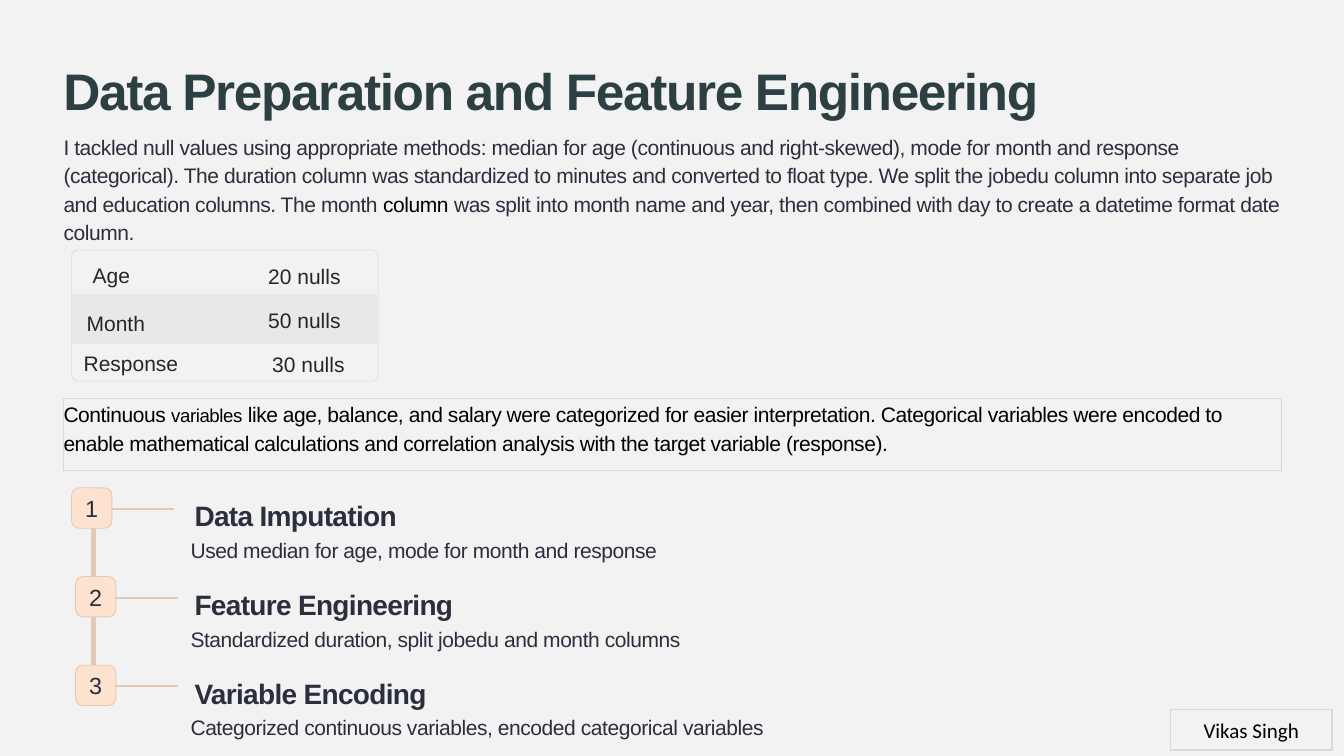
from dataclasses import dataclass

from pptx import Presentation
from pptx import util as u
from pptx.dml.color import RGBColor
from pptx.enum import shapes, text
from pptx.oxml.xmlchemy import OxmlElement

PX = 9144
NO_GRID = "{2D5ABB26-0587-4C30-8999-92F81FD0307C}"


@dataclass(frozen=True)
class Theme:
    paper: str = "F2F2F2"
    title: str = "2C3F42"
    ink: str = "2B2E3C"
    cell: str = "272525"
    black: str = "000000"
    border: str = "D9D9D9"
    frame: str = "DFDFDF"
    band: str = "E8E8E8"
    tile: str = "FCE2CF"
    line: str = "E2C8B5"
    title_size: float = 36.7
    heading_size: float = 20
    number_size: float = 16.7
    body_size: float = 15
    small_size: float = 13.3


class SlideBuilder:
    """Draws styled elements on one slide, with lengths in px."""

    def __init__(self, slide, theme):
        self.slide = slide
        self.theme = theme
        fill = slide.background.fill
        fill.solid()
        fill.fore_color.rgb = RGBColor.from_string(theme.paper)

    def add_spans(self, frame, spans, color, size, spacing=0, leading=None,
                  align=text.PP_ALIGN.LEFT, bold=False, font="Arial"):
        para = frame.paragraphs[0]
        para.alignment = align
        if leading:
            para.line_spacing = u.Pt(leading)
        for words, changes in spans:
            span = para.add_run()
            span.text = words
            values = {"name": font, "size": size, "bold": bold, "color": color, **changes}
            span.font.color.rgb = RGBColor.from_string(values.pop("color"))
            values["size"] = u.Pt(values["size"])
            for name, value in values.items():
                setattr(span.font, name, value)
            if spacing:
                span.font._element.set("spc", str(round(spacing * 100)))

    def fit(self, frame, anchor):
        values = {"margin_left": 0, "margin_right": 0, "margin_top": 0,
                  "margin_bottom": 0, "word_wrap": True, "vertical_anchor": anchor}
        for name, value in values.items():
            setattr(frame, name, value)

    def label(self, area, spans, **style):
        box = self.slide.shapes.add_textbox(*(n * PX for n in area))
        self.fit(box.text_frame, text.MSO_ANCHOR.TOP)
        self.add_spans(box.text_frame, spans, **style)

    def panel(self, area, fill, line, width, radius=None, spans=(),
              anchor=text.MSO_ANCHOR.MIDDLE, **style):
        kind = shapes.MSO_SHAPE.RECTANGLE if radius is None else shapes.MSO_SHAPE.ROUNDED_RECTANGLE
        panel = self.slide.shapes.add_shape(kind, *(n * PX for n in area))
        panel.shadow.inherit = False
        if radius is not None:
            panel.adjustments[0] = radius
        panel.fill.solid()
        panel.fill.fore_color.rgb = RGBColor.from_string(fill)
        panel.line.color.rgb = RGBColor.from_string(line)
        panel.line.width = u.Pt(width)
        self.fit(panel.text_frame, anchor)
        if spans:
            self.add_spans(panel.text_frame, spans, **style)

    def rule(self, start, end, width):
        ends = (n * PX for n in (*start, *end))
        rule = self.slide.shapes.add_connector(shapes.MSO_CONNECTOR.STRAIGHT, *ends)
        rule.line.color.rgb = RGBColor.from_string(self.theme.line)
        rule.line.width = u.Pt(width)
        rule._element.spPr.append(OxmlElement("a:effectLst"))

    def table(self, area, widths, rows, **style):
        grid = self.slide.shapes.add_table(len(rows), len(widths), *(n * PX for n in area)).table
        grid.first_row = grid.horz_banding = False
        grid._tbl.tblPr[0].text = NO_GRID
        for column, width in zip(grid.columns, widths):
            column.width = width * PX
        for row, (height, banded, cells) in zip(grid.rows, rows):
            row.height = height * PX
            for cell, (words, left, top) in zip(row.cells, cells):
                margins = {"margin_left": left, "margin_top": top,
                           "margin_right": 0, "margin_bottom": 0}
                for name, value in margins.items():
                    setattr(cell, name, value * PX)
                if banded:
                    cell.fill.solid()
                    cell.fill.fore_color.rgb = RGBColor.from_string(self.theme.band)
                else:
                    cell.fill.background()
                self.add_spans(cell.text_frame, [(words, {})], **style)


def main():
    theme = Theme()
    deck = Presentation()
    deck.slide_width, deck.slide_height = 1333 * PX, 750 * PX
    page = SlideBuilder(deck.slides.add_slide(deck.slide_layouts[6]), theme)
    body = {"color": theme.ink, "size": theme.body_size, "spacing": -0.3, "leading": 20.4}
    center = text.PP_ALIGN.CENTER

    page.label((63, 64, 1100, 56), [("Data Preparation and Feature Engineering", {})],
               color=theme.title, size=theme.title_size, spacing=-1, leading=40, bold=True)
    page.label((63, 130, 1208, 86), [
        ("I tackled null values using appropriate methods: median for age (continuous and "
         "right-skewed), mode for month and response (categorical). The duration column was "
         "standardized to minutes and converted to float type. We split the jobedu column into "
         "separate job and education columns. The month ", {}),
        ("column", {"color": theme.black}),
        (" was split into month name and year, then combined with day to create a datetime "
         "format date column.", {}),
    ], **body)

    page.panel((71, 248, 304, 130), theme.paper, theme.frame, 0.6, radius=0.048)
    page.table((71, 248, 304, 130), (180, 124), [
        (44, False, [("Age", 21, 5), ("20 nulls", 15, 6)]),
        (49, True, [("Month", 15, 9), ("50 nulls", 15, 6)]),
        (37, False, [("Response", 12, 0), ("30 nulls", 19, 1)]),
    ], color=theme.cell, size=theme.body_size, leading=23.3)

    page.panel((63, 395, 1208, 72), theme.paper, theme.border, 0.75, spans=[
        ("Continuous ", {}),
        ("variables", {"size": theme.small_size}),
        (" like age, balance, and salary were categorized for easier interpretation. "
         "Categorical variables were encoded to enable mathematical calculations and "
         "correlation analysis with the target variable (response).", {}),
    ], anchor=text.MSO_ANCHOR.TOP, **{**body, "color": theme.black})

    steps = [
        (71, "Data Imputation", "Used median for age, mode for month and response"),
        (75, "Feature Engineering", "Standardized duration, split jobedu and month columns"),
        (75, "Variable Encoding", "Categorized continuous variables, encoded categorical variables"),
    ]
    page.rule((93, 484), (93, 691), 3.6)
    for index, (left, heading, detail) in enumerate(steps):
        top = 484 + 88 * index
        page.rule((left + 40, top + 21), (left + 102, top + 21), 1.5)
        page.panel((left, top, 40, 40), theme.tile, theme.line, 0.6, radius=0.187,
                   spans=[(str(index + 1), {})], color=theme.ink, size=theme.number_size,
                   spacing=-0.6, align=center)
        page.label((193, top + 11, 300, 28), [(heading, {})], color=theme.ink,
                   size=theme.heading_size, spacing=-0.5, bold=True)
        page.label((189, top + 46, 620, 40), [(detail, {})], **body)

    page.panel((1161, 704, 160, 40), theme.paper, theme.border, 1, spans=[("Vikas Singh", {})],
               color=theme.black, size=theme.body_size, align=center, font="Calibri")
    deck.save("out.pptx")


if __name__ == "__main__":
    main()
